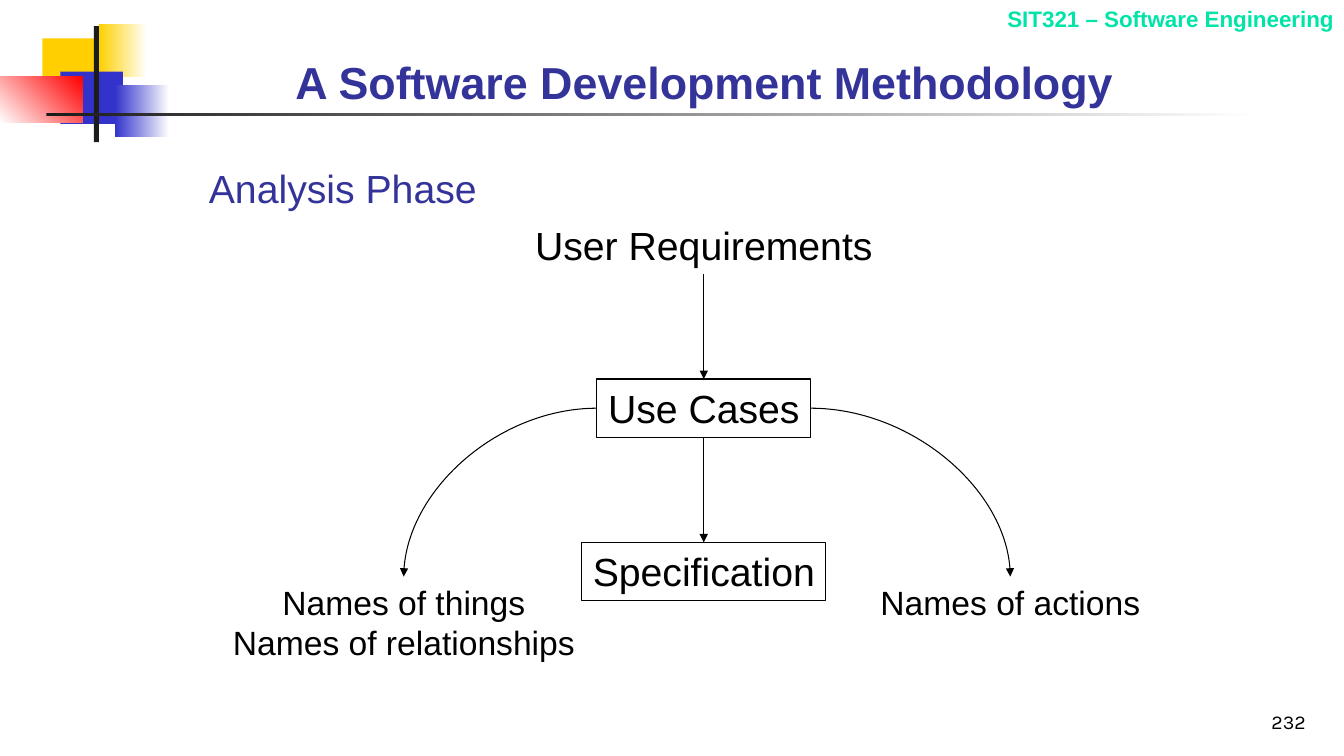
from dataclasses import dataclass
from typing import Optional

from lxml import etree
from pptx import Presentation
from pptx.dml.color import RGBColor
from pptx.enum import shapes, text
from pptx.oxml import ns
from pptx.util import Inches, Pt


@dataclass(frozen=True)
class Theme:
    font: str = "Arial"
    digit: str = "Karla"
    black: str = "000000"
    white: str = "FFFFFF"
    dark: str = "1C1C1C"
    gold: str = "FFCF01"
    blue: str = "3333CC"
    red: str = "FF0000"
    navy: str = "333399"
    mint: str = "00E4A8"
    title: int = 32
    large: int = 28
    mid: int = 24
    head: int = 16
    small: int = 14
    line: float = 0.75


@dataclass(frozen=True)
class Box:
    left: float
    top: float
    width: float
    height: float


@dataclass(frozen=True)
class Block:
    box: Box
    start: str
    end: Optional[str] = None
    angle: int = 0


@dataclass(frozen=True)
class Label:
    name: str
    box: Box
    lines: tuple[str, ...]
    size: int
    color: str = Theme.black
    font: str = Theme.font
    bold: bool = False
    align: text.PP_ALIGN = text.PP_ALIGN.CENTER
    anchor: text.MSO_ANCHOR = text.MSO_ANCHOR.TOP
    wrap: bool = False
    framed: bool = False


@dataclass(frozen=True)
class Arrow:
    start: str
    side: int
    end: str
    curved: bool = False


T = Theme()
TOP, LEFT, BOTTOM, RIGHT = range(4)

BLOCKS = (
    Block(Box(0.42, 0.38, 0.64, 0.52), T.gold),
    Block(Box(0.98, 0.24, 0.48, 0.52), T.gold, T.white),
    Block(Box(0.6, 0.71, 0.62, 0.52), T.blue),
    Block(Box(1.14, 0.84, 0.54, 0.52), T.blue, T.white),
    Block(Box(0, 0.76, 0.82, 0.46), T.white, T.red, 45),
    Block(Box(0.93, 0.26, 0.05, 1.15), T.dark),
    Block(Box(0.46, 1.12, 12, 0.03), T.dark, T.white),
)

TITLE = Label("title", Box(2.83, 0.41, 8.58, 0.72),
              ("A Software Development Methodology",), T.title, T.navy,
              bold=True, align=text.PP_ALIGN.LEFT,
              anchor=text.MSO_ANCHOR.BOTTOM, wrap=True)

LABELS = (
    Label("course", Box(8.03, 0, 5.3, 0.37), ("SIT321 – Software Engineering",),
          T.head, T.mint, bold=True, align=text.PP_ALIGN.RIGHT, wrap=True),
    Label("number", Box(10.27, 6.83, 2.78, 0.5), ("232",), T.small,
          font=T.digit, align=text.PP_ALIGN.RIGHT,
          anchor=text.MSO_ANCHOR.BOTTOM, wrap=True),
    Label("phase", Box(1.97, 1.58, 2.86, 0.57), ("Analysis Phase",),
          T.large, T.navy),
    Label("needs", Box(5.2, 2.15, 3.56, 0.57), ("User Requirements",), T.large),
    Label("cases", Box(5.92, 3.76, 2.12, 0.58), ("Use Cases",), T.large,
          framed=True),
    Label("spec", Box(5.77, 5.38, 2.42, 0.58), ("Specification",), T.large,
          framed=True),
    Label("things", Box(2.19, 5.72, 3.63, 0.91),
          ("Names of things", "Names of relationships"), T.mid),
    Label("actions", Box(8.63, 5.72, 2.78, 0.5), ("Names of actions",), T.mid),
)

ARROWS = (
    Arrow("needs", BOTTOM, "cases"),
    Arrow("cases", BOTTOM, "spec"),
    Arrow("cases", LEFT, "things", curved=True),
    Arrow("cases", RIGHT, "actions", curved=True),
)


def rgb(color: str) -> RGBColor:
    return RGBColor.from_string(color)


def edges(box: Box) -> tuple:
    return tuple(Inches(v) for v in (box.left, box.top, box.width, box.height))


def draw_block(slide, block: Block) -> None:
    shape = slide.shapes.add_shape(shapes.MSO_SHAPE.RECTANGLE, *edges(block.box))
    shape.shadow.inherit = False
    shape.line.fill.background()
    if block.end is None:
        shape.fill.solid()
        shape.fill.fore_color.rgb = rgb(block.start)
        return
    shape.fill.gradient()
    shape.fill.gradient_angle = block.angle
    for stop, color in zip(shape.fill.gradient_stops, (block.start, block.end)):
        stop.color.rgb = rgb(color)


def write(shape, label: Label) -> None:
    frame = shape.text_frame
    frame.word_wrap = label.wrap
    frame.auto_size = text.MSO_AUTO_SIZE.NONE
    frame.vertical_anchor = label.anchor
    para = frame.paragraphs[0]
    para.alignment = label.align
    for i, line in enumerate(label.lines):
        if i:
            para.add_line_break()
        run = para.add_run()
        run.text = line
        run.font.name = label.font
        run.font.size = Pt(label.size)
        run.font.bold = label.bold
        run.font.color.rgb = rgb(label.color)


def draw_label(slide, label: Label):
    if label.framed:
        shape = slide.shapes.add_shape(shapes.MSO_SHAPE.RECTANGLE,
                                       *edges(label.box))
        shape.shadow.inherit = False
        shape.fill.background()
        shape.line.color.rgb = rgb(T.black)
        shape.line.width = Pt(T.line)
    else:
        shape = slide.shapes.add_textbox(*edges(label.box))
    write(shape, label)
    return shape


def draw_arrow(slide, arrow: Arrow, nodes: dict) -> None:
    kind = shapes.MSO_CONNECTOR.CURVE if arrow.curved else shapes.MSO_CONNECTOR.STRAIGHT
    link = slide.shapes.add_connector(kind, 0, 0, 0, 0)
    link.begin_connect(nodes[arrow.start], arrow.side)
    link.end_connect(nodes[arrow.end], TOP)
    link.line.color.rgb = rgb(T.black)
    link.line.width = Pt(T.line)
    props = link._element.spPr
    if arrow.curved:
        props.find(ns.qn("a:prstGeom")).set("prst", "curvedConnector2")
    tail = etree.SubElement(props.find(ns.qn("a:ln")), ns.qn("a:tailEnd"))
    tail.set("type", "triangle")
    etree.SubElement(props, ns.qn("a:effectLst"))


def main() -> None:
    deck = Presentation()
    deck.slide_width, deck.slide_height = Inches(13.33), Inches(7.5)
    slide = deck.slides.add_slide(deck.slide_layouts[5])
    for block in BLOCKS:
        draw_block(slide, block)
    title = slide.shapes.title
    title.left, title.top, title.width, title.height = edges(TITLE.box)
    write(title, TITLE)
    nodes = {label.name: draw_label(slide, label) for label in LABELS}
    for arrow in ARROWS:
        draw_arrow(slide, arrow, nodes)
    deck.save("out.pptx")


if __name__ == "__main__":
    main()
